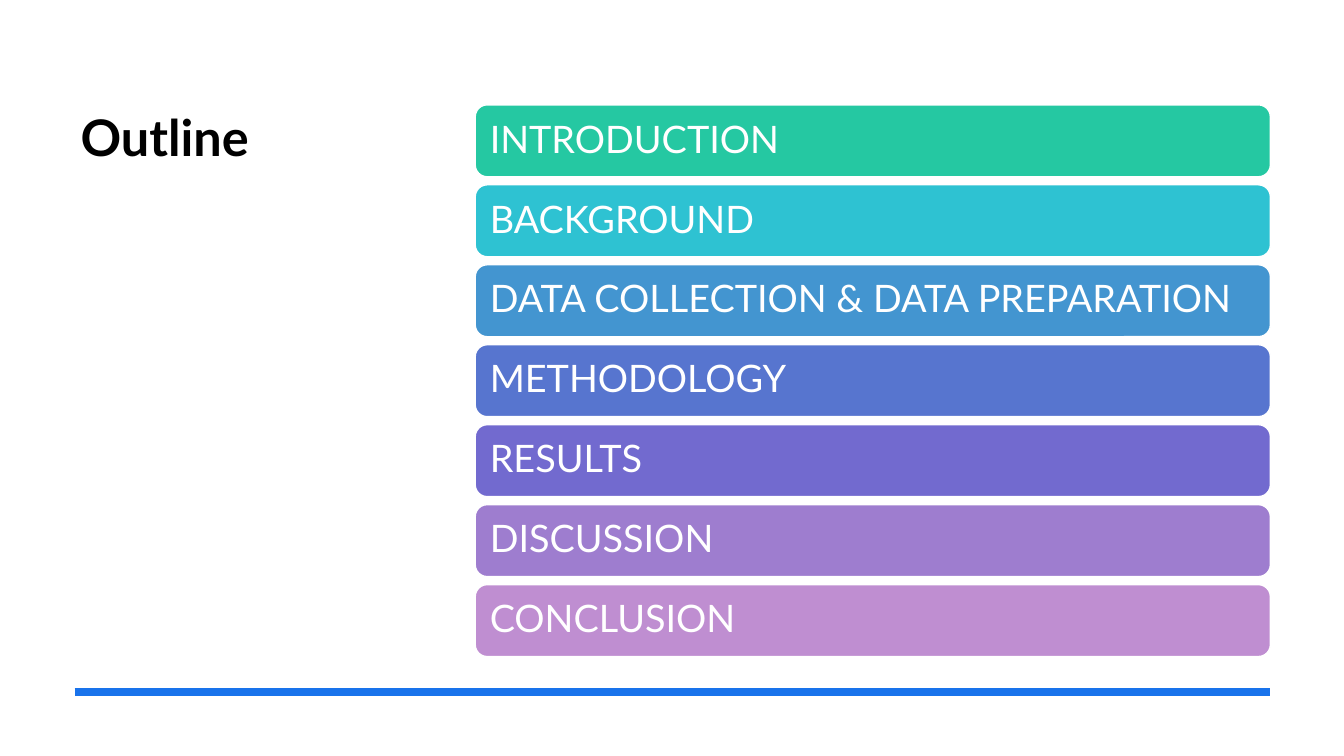
import pptx
import pptx.util
import pptx.dml.color
import pptx.enum.shapes
import pptx.enum.text
import pptx.oxml.ns
from dataclasses import dataclass
from lxml import etree

inch = pptx.util.Inches
point = pptx.util.Pt
shapes = pptx.enum.shapes
anchors = pptx.enum.text.MSO_ANCHOR


# Colours, type sizes and line widths
@dataclass(frozen=True)
class Theme:
    font: str = "Lato"
    paper: str = "FFFFFF"
    ink: str = "000000"
    rule: str = "1973EB"
    bars: tuple = ("25C8A2", "2EC2D2", "4395D0", "5775CF",
                   "726ACF", "9E7DCF", "BF8ED1")
    head: int = 36
    label: int = 27
    thick: int = 6
    thin: int = 1


class Deck:
    """Style and current slide, on a grid of 12 columns and 0.79 inch rows."""
    left, top = 0.74, 1.04
    col = (12.6 - left) / 12
    row = (5.8 - top) / 6

    def __init__(self, theme):
        self.theme = theme
        self.show = pptx.Presentation()
        self.show.slide_width = inch(13.33)
        self.show.slide_height = inch(7.5)
        self.slide = self.show.slides.add_slide(self.show.slide_layouts[6])
        self.paint(self.slide.background.fill, theme.paper)

    def spot(self, x, y):
        return inch(self.left + x * self.col), inch(self.top + y * self.row)

    def area(self, x, y, wide, high):
        return *self.spot(x, y), inch(wide * self.col), inch(high * self.row)

    def paint(self, fill, tone):
        fill.solid()
        fill.fore_color.rgb = pptx.dml.color.RGBColor.from_string(tone)

    def stroke(self, line, tone, width):
        self.paint(line.fill, tone)
        line.width = point(width)

    def letter(self, shape, text, tone, form, para, font):
        frame = shape.text_frame
        frame.text = text
        first = frame.paragraphs[0]
        font = {"name": self.theme.font, **font}
        for part, values in ((frame, form), (first, para), (first.font, font)):
            for name, value in values.items():
                setattr(part, name, value)
        self.paint(first.font.fill, tone)

    def title(self, text, *place):
        box = self.slide.shapes.add_textbox(*self.area(*place))
        self.letter(box, text, self.theme.ink,
                    {"word_wrap": True},
                    {"space_after": point(6)},
                    {"size": point(self.theme.head), "bold": True})

    def bar(self, text, fill, *place):
        box = self.slide.shapes.add_shape(
            shapes.MSO_SHAPE.ROUNDED_RECTANGLE, *self.area(*place))
        box.shadow.inherit = False
        self.paint(box.fill, fill)
        self.stroke(box.line, self.theme.paper, self.theme.thin)
        sides = ("left", "right", "top", "bottom")
        form = {f"margin_{side}": inch(0.11) for side in sides}
        form |= {"word_wrap": True, "vertical_anchor": anchors.MIDDLE}
        self.letter(box, text, self.theme.paper, form,
                    {"alignment": pptx.enum.text.PP_ALIGN.LEFT,
                     "line_spacing": 0.9},
                    {"size": point(self.theme.label)})

    def rule(self, start, end, y):
        line = self.slide.shapes.add_connector(
            shapes.MSO_CONNECTOR.STRAIGHT,
            *self.spot(start, y), *self.spot(end, y))
        self.stroke(line.line, self.theme.rule, self.theme.thick)
        etree.SubElement(line._element.spPr, pptx.oxml.ns.qn("a:effectLst"))


def main():
    theme = Theme()
    deck = Deck(theme)

    # Heading and footer rule
    deck.title("Outline", -0.04, -0.05, 3.32, 5.74)
    deck.rule(0, 12, 7.34)

    # One bar per section
    topics = ("INTRODUCTION", "BACKGROUND",
              "DATA COLLECTION & DATA PREPARATION", "METHODOLOGY",
              "RESULTS", "DISCUSSION", "CONCLUSION")
    for row, (topic, tone) in enumerate(zip(topics, theme.bars)):
        deck.bar(topic, tone, 4.02, row, 7.98, 0.9)

    deck.show.save("out.pptx")


if __name__ == "__main__":
    main()
